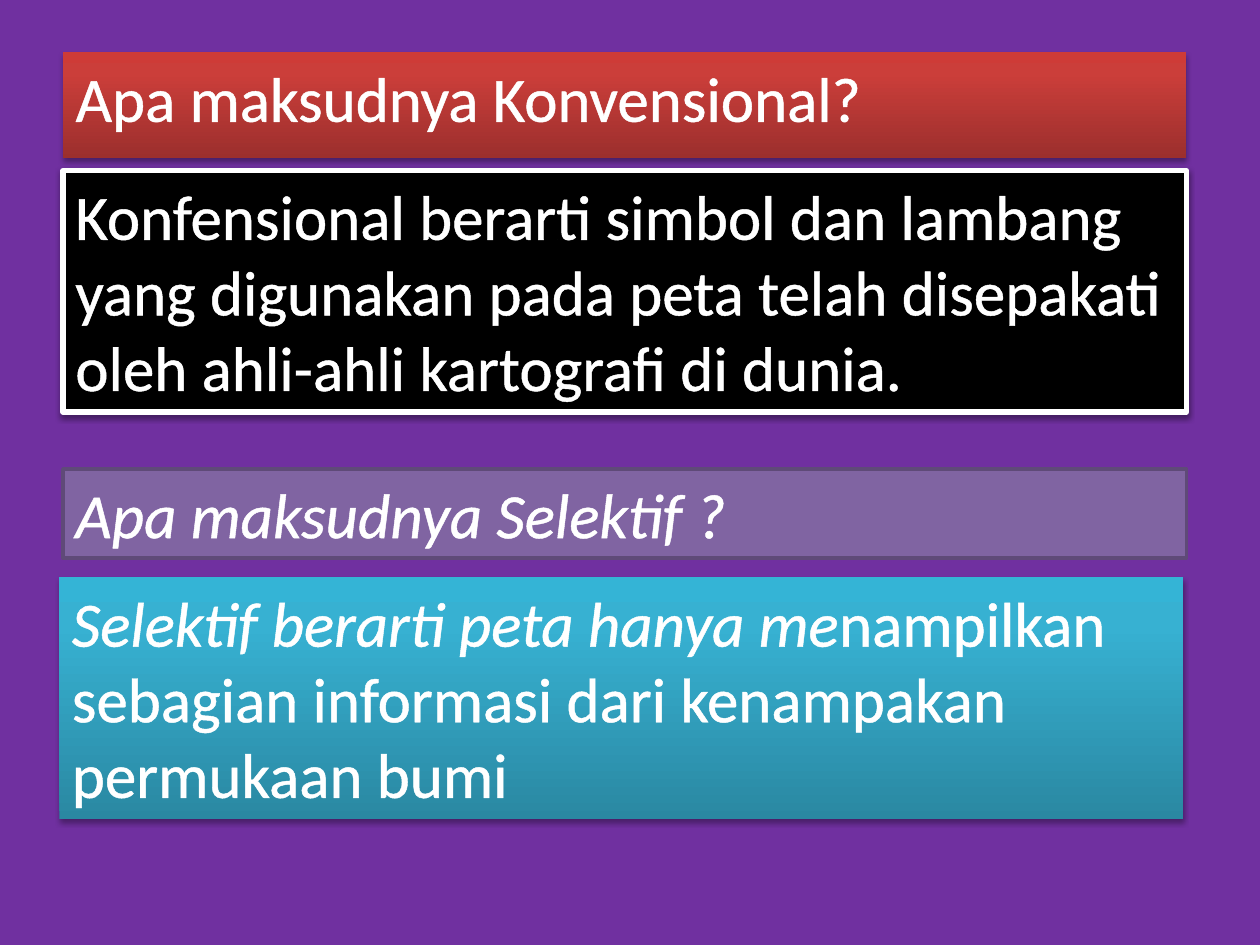
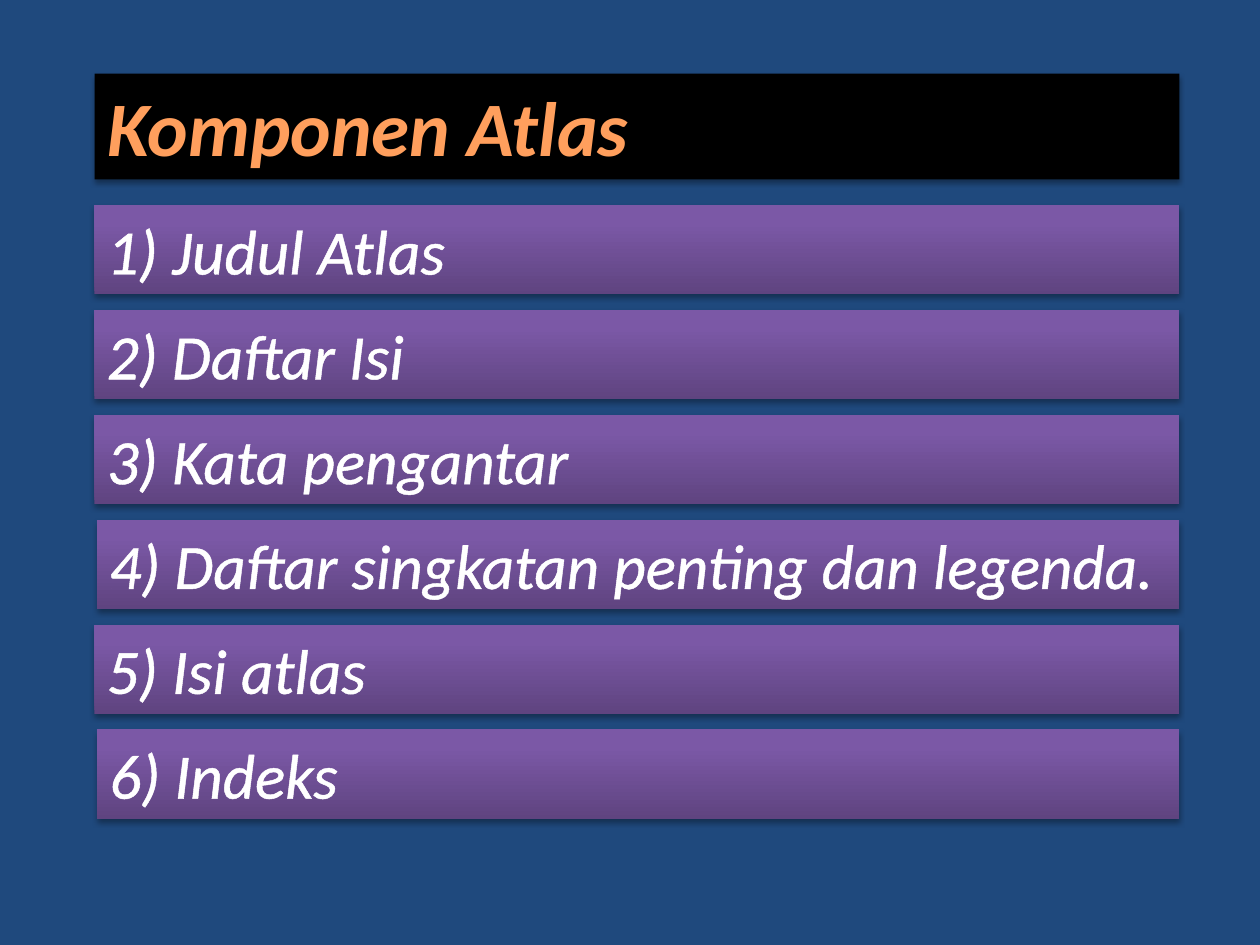
from copy import deepcopy
from pptx import Presentation
from pptx.dml.color import RGBColor
from pptx.enum.shapes import MSO_SHAPE
from pptx.enum.text import MSO_ANCHOR, MSO_AUTO_SIZE, PP_ALIGN
from pptx.oxml import parse_xml
from pptx.oxml.ns import nsdecls, qn
from pptx.util import Pt

RECT = MSO_SHAPE.RECTANGLE
TOP = MSO_ANCHOR.TOP
GROW = MSO_AUTO_SIZE.SHAPE_TO_FIT_TEXT
LEFT = PP_ALIGN.LEFT

FONT = "Calibri"
WHITE, BLACK = "FFFFFF", "000000"
RED = [(0, "9C2F2D"), (0.8, "CB3E3A"), (1, "CE3B37")]
TEAL = [(0, "2A88A2"), (0.8, "37B1D2"), (1, "34B4D6")]
PURPLE = [(0, "5F4480"), (0.8, "7B58A6"), (1, "7C57A8")]
ORANGE = [(0, "FFA367"), (0.25, "FF9F5D"), (0.5, "F38E3A"),
          (0.75, "FF9F5D"), (1, "FFA367")]
OUTLINE = (f'<a:ln {nsdecls("a")} w="18415"><a:solidFill>'
           f'<a:srgbClr val="{WHITE}"/></a:solidFill></a:ln>')


def paint(fill, color, parent=None):
    if isinstance(color, str):
        fill.solid()
        fill.fore_color.rgb = RGBColor.from_string(color)
        return
    fill.gradient()
    fill.gradient_angle = 90
    stops = parent.find(qn("a:gradFill")).find(qn("a:gsLst"))
    for _ in color[2:]:
        stops.append(deepcopy(stops[1]))
    for stop, (position, rgb) in zip(fill.gradient_stops, color):
        stop.position = position
        stop.color.rgb = RGBColor.from_string(rgb)


def format_bar(sp, text, box, fill, line=None, line_width=0, shadow=35,
               size=36, color=WHITE, bold=False, italic=False):
    sp.left, sp.top, sp.width, sp.height = [Pt(v) for v in box]
    paint(sp.fill, fill, sp._element.spPr)
    if line:
        paint(sp.line.fill, line)
        sp.line.width = Pt(line_width)
    else:
        sp.line.fill.background()
    sp.shadow.inherit = False
    if shadow:
        sp._element.spPr.find(qn("a:effectLst")).append(parse_xml(
            f'<a:outerShdw {nsdecls("a")} blurRad="{Pt(3.1)}" dist="{Pt(1.8)}" '
            f'dir="5400000" rotWithShape="0"><a:srgbClr val="{BLACK}">'
            f'<a:alpha val="{shadow * 1000}"/></a:srgbClr></a:outerShdw>'))
    tf = sp.text_frame
    tf.word_wrap = True
    tf.auto_size = GROW
    tf.vertical_anchor = TOP
    paragraphs = [[(text, italic)]] if isinstance(text, str) else text
    for i, runs in enumerate(paragraphs):
        p = tf.add_paragraph() if i else tf.paragraphs[0]
        p.alignment = LEFT
        for words, slanted in runs:
            r = p.add_run()
            r.text = words
            r.font.name = FONT
            r.font.size = Pt(size)
            r.font.bold = bold
            r.font.italic = slanted
            rPr = r._r.get_or_add_rPr()
            paint(r.font.fill, color, rPr)
            if color == WHITE:
                rPr.insert(0, parse_xml(OUTLINE))


prs = Presentation()
prs.slide_width, prs.slide_height = Pt(720), Pt(540)
title_only = prs.slide_layouts[5]

s = prs.slides.add_slide(title_only)
paint(s.background.fill, "7030A0")
format_bar(s.shapes.title, "Apa maksudnya Konvensional?", (36, 30, 642, 51), RED)

selective = [
    [("Selektif berarti peta hanya me", True),
     ("nampilkan sebagian informasi dari kenampakan", False)],
    [("permukaan bumi", False)],
]
bars = [
    ("Konfensional berarti simbol dan lambang yang digunakan pada peta telah "
     "disepakati oleh ahli-ahli kartografi di dunia.",
     (36, 97.5, 642, 138), BLACK, dict(line=WHITE, line_width=3, shadow=38)),
    ("Apa maksudnya Selektif ?", (36, 268, 642, 51), "8064A2",
     dict(line="5F4A78", line_width=2, shadow=0, italic=True)),
    (selective, (34, 330, 642, 138), TEAL, {}),
]
for text, box, fill, style in bars:
    format_bar(s.shapes.add_shape(RECT, 0, 0, 0, 0), text, box, fill, **style)

s = prs.slides.add_slide(title_only)
paint(s.background.fill, "1F497D")
format_bar(s.shapes.title, "Komponen Atlas", (54, 42, 620, 60.5), BLACK,
           size=44, color=ORANGE, bold=True, italic=True)

components = ["Judul Atlas", "Daftar Isi", "Kata pengantar",
              "Daftar singkatan penting dan legenda.", "Isi atlas", "Indeks"]
for i, component in enumerate(components):
    indent = 1.4 if i in (3, 5) else 0
    format_bar(s.shapes.add_shape(RECT, 0, 0, 0, 0), f"{i + 1}) {component}",
               (54 + indent, 117.3 + 59.9 * i, 620 - indent, 51), PURPLE, italic=True)

prs.save("out.pptx")
